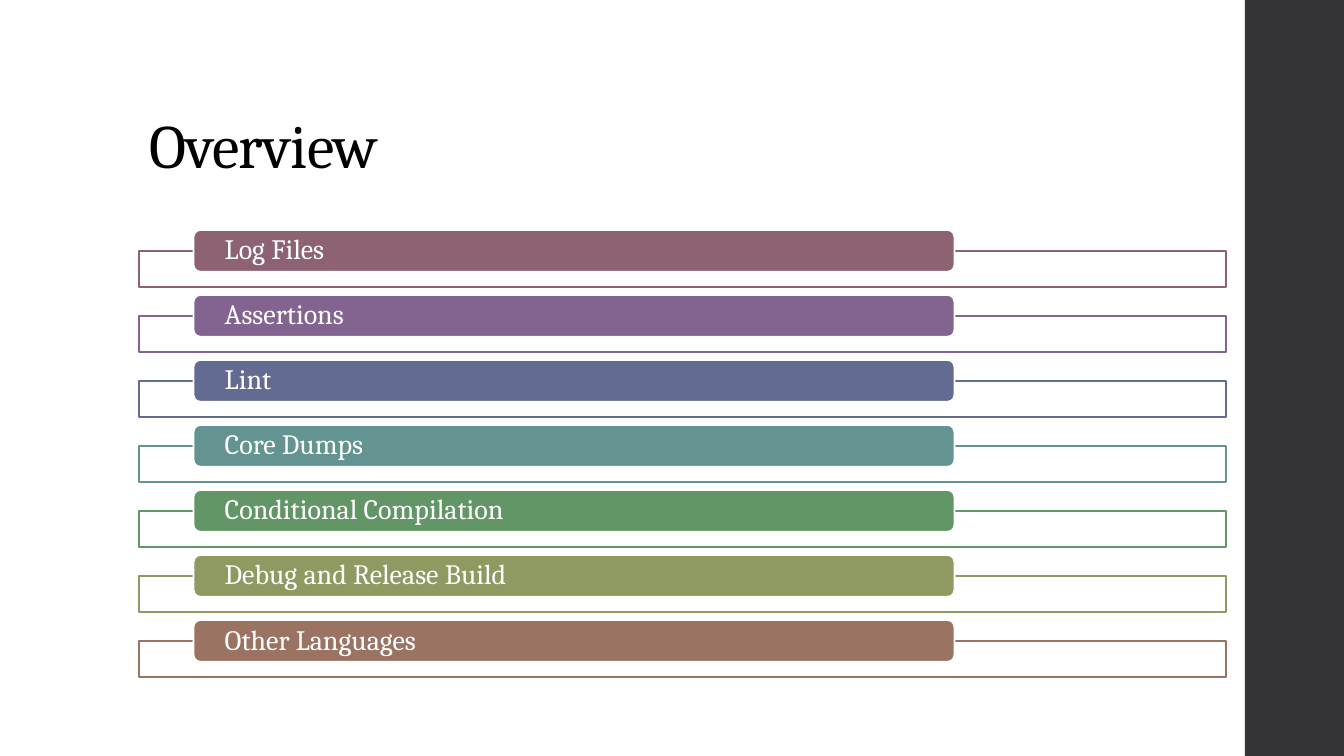
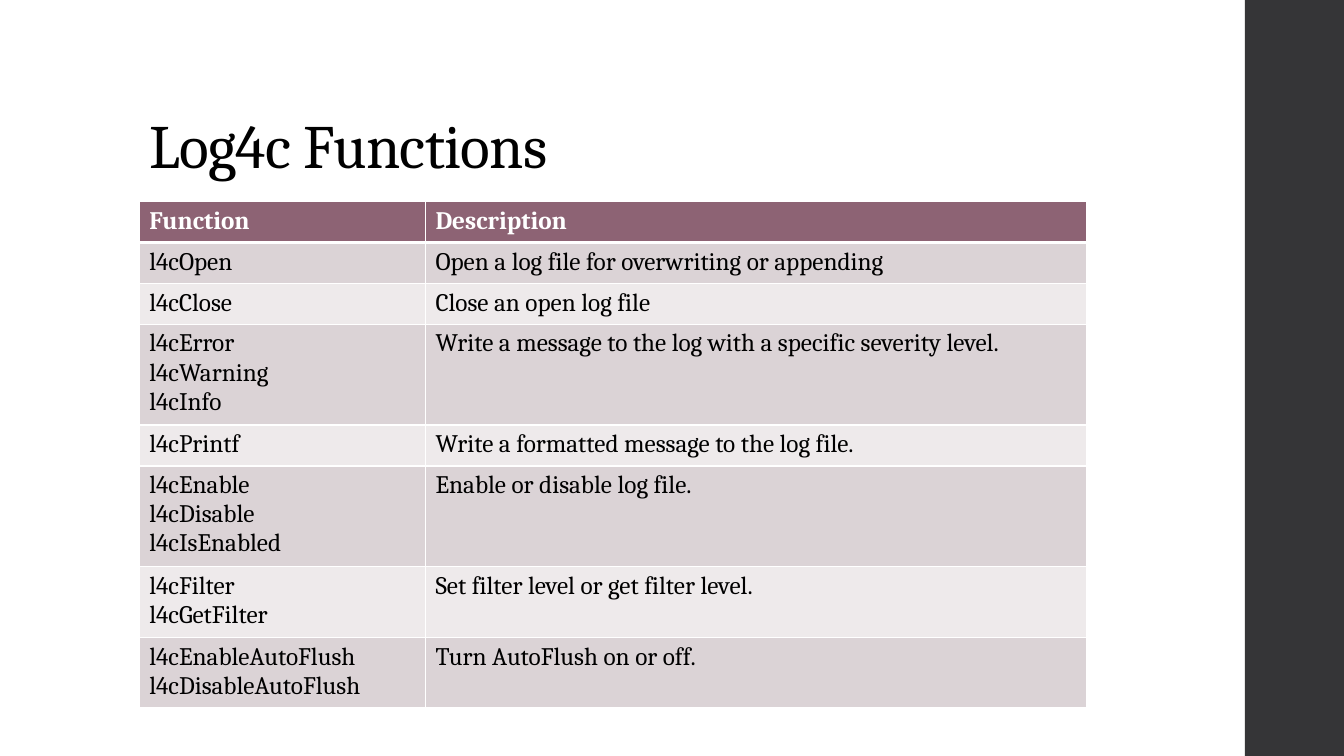
from dataclasses import dataclass

from lxml import etree
from pptx import Presentation
from pptx.dml.color import RGBColor
from pptx.enum.shapes import MSO_SHAPE
from pptx.enum.text import MSO_ANCHOR, PP_ALIGN
from pptx.oxml.ns import qn
from pptx.util import Pt

RECT = MSO_SHAPE.RECTANGLE
ROUND_RECT = MSO_SHAPE.ROUNDED_RECTANGLE
MIDDLE, BOTTOM = MSO_ANCHOR.MIDDLE, MSO_ANCHOR.BOTTOM
LEFT = PP_ALIGN.LEFT

FONT = "Cambria"
COLORS = {
    "white": "FFFFFF",
    "black": "000000",
    "band": "353537",
    "plum": "8D6374",
    "purple": "83638F",
    "blue": "636B92",
    "teal": "639491",
    "green": "629666",
    "olive": "8F9962",
    "brown": "9B7362",
    "row_dark": "DBD3D6",
    "row_light": "EEEAEB",
}
SLIDE_W, SLIDE_H = 960, 540
BAND_X = 889.2
MARGIN_X = 99.4
CONTENT_W = 776.2


@dataclass
class Topic:
    text: str
    color: str


@dataclass
class TableRow:
    functions: list[str]
    description: str


TOPICS = [
    Topic("Log Files", "plum"),
    Topic("Assertions", "purple"),
    Topic("Lint", "blue"),
    Topic("Core Dumps", "teal"),
    Topic("Conditional Compilation", "green"),
    Topic("Debug and Release Build", "olive"),
    Topic("Other Languages", "brown"),
]
TABLE_ROWS = [
    TableRow(["Function"], "Description"),
    TableRow(["l4cOpen"], "Open a log file for overwriting or appending"),
    TableRow(["l4cClose"], "Close an open log file"),
    TableRow(["l4cError", "l4cWarning", "l4cInfo"],
             "Write a message to the log with a specific severity level."),
    TableRow(["l4cPrintf"], "Write a formatted message to the log file."),
    TableRow(["l4cEnable", "l4cDisable", "l4cIsEnabled"], "Enable or disable log file."),
    TableRow(["l4cFilter", "l4cGetFilter"], "Set filter level or get filter level."),
    TableRow(["l4cEnableAutoFlush", "l4cDisableAutoFlush"], "Turn AutoFlush on or off."),
]


def rgb(name: str) -> RGBColor:
    return RGBColor.from_string(COLORS[name])


def set_font(p, size: float, color: str, bold: bool = False) -> None:
    p.font.name = FONT
    p.font.size = Pt(size)
    p.font.bold = bold
    p.font.color.rgb = rgb(color)


def add_box(s, kind, x: float, y: float, w: float, h: float, fill: str,
            line: str | None = None, line_w: float = 1):
    sp = s.shapes.add_shape(kind, Pt(x), Pt(y), Pt(w), Pt(h))
    sp.shadow.inherit = False
    sp.fill.solid()
    sp.fill.fore_color.rgb = rgb(fill)
    if line:
        sp.line.color.rgb = rgb(line)
        sp.line.width = Pt(line_w)
    else:
        sp.line.fill.background()
    return sp


def add_slide(prs, title: str):
    s = prs.slides.add_slide(prs.slide_layouts[6])
    add_box(s, RECT, BAND_X, 0, SLIDE_W - BAND_X, SLIDE_H, "band")
    sp = s.shapes.add_textbox(Pt(MARGIN_X), Pt(28.8), Pt(CONTENT_W), Pt(104.4))
    tf = sp.text_frame
    tf.word_wrap = True
    tf.vertical_anchor = BOTTOM
    p = tf.paragraphs[0]
    p.line_spacing = 0.9
    set_font(p, 44, "black")
    r = p.add_run()
    r.text = title
    r.font._element.set("spc", "-50")
    return s


def add_topic(s, topic: Topic, y: float) -> None:
    frame = add_box(s, RECT, MARGIN_X, y + 14.9, CONTENT_W, 26, "white", topic.color, 1.1)
    white = frame.fill._xPr.find(qn("a:solidFill"))[0]
    etree.SubElement(white, qn("a:alpha"), val="90000")
    pill = add_box(s, ROUND_RECT, 138.2, y, 543.6, 30, topic.color, "white", 1.35)
    tf = pill.text_frame
    tf.word_wrap = True
    tf.vertical_anchor = MIDDLE
    tf.margin_left = tf.margin_right = Pt(20.9)
    tf.margin_top = tf.margin_bottom = 0
    p = tf.paragraphs[0]
    p.text = topic.text
    p.alignment = LEFT
    p.line_spacing = 0.9
    set_font(p, 20, "white")


def set_borders(cell, bottom: float) -> None:
    tc_pr = cell._tc.get_or_add_tcPr()
    for side, width in (("L", 1), ("R", 1), ("T", 1), ("B", bottom)):
        ln = etree.SubElement(tc_pr, qn(f"a:ln{side}"), w=str(Pt(width)))
        fill = etree.SubElement(ln, qn("a:solidFill"))
        etree.SubElement(fill, qn("a:srgbClr"), val=COLORS["white"])


def fill_cell(cell, text: str, row: int) -> None:
    header = row == 0
    set_borders(cell, 3 if header else 1)
    cell.fill.solid()
    fill = "plum" if header else ("row_light", "row_dark")[row % 2]
    cell.fill.fore_color.rgb = rgb(fill)
    cell.text_frame.text = text
    for p in cell.text_frame.paragraphs:
        set_font(p, 18, "white" if header else "black", header)


def add_function_table(s, rows: list[TableRow]) -> None:
    widths = [204.5, 472.3]
    heights = [max(29.2, 7.2 + 20.75 * len(row.functions)) for row in rows]
    table = s.shapes.add_table(len(rows), len(widths), Pt(MARGIN_X), Pt(144),
                               Pt(sum(widths)), Pt(sum(heights))).table
    for column, width in zip(table.columns, widths):
        column.width = Pt(width)
    for i, (row, height) in enumerate(zip(rows, heights)):
        table.rows[i].height = Pt(height)
        fill_cell(table.cell(i, 0), "\n".join(row.functions), i)
        fill_cell(table.cell(i, 1), row.description, i)


def main() -> None:
    prs = Presentation()
    prs.slide_width, prs.slide_height = Pt(SLIDE_W), Pt(SLIDE_H)
    s = add_slide(prs, "Overview")
    for i, topic in enumerate(TOPICS):
        add_topic(s, topic, 164.2 + 46.44 * i)
    s = add_slide(prs, "Log4c Functions")
    add_function_table(s, TABLE_ROWS)
    prs.save("out.pptx")


if __name__ == "__main__":
    main()
